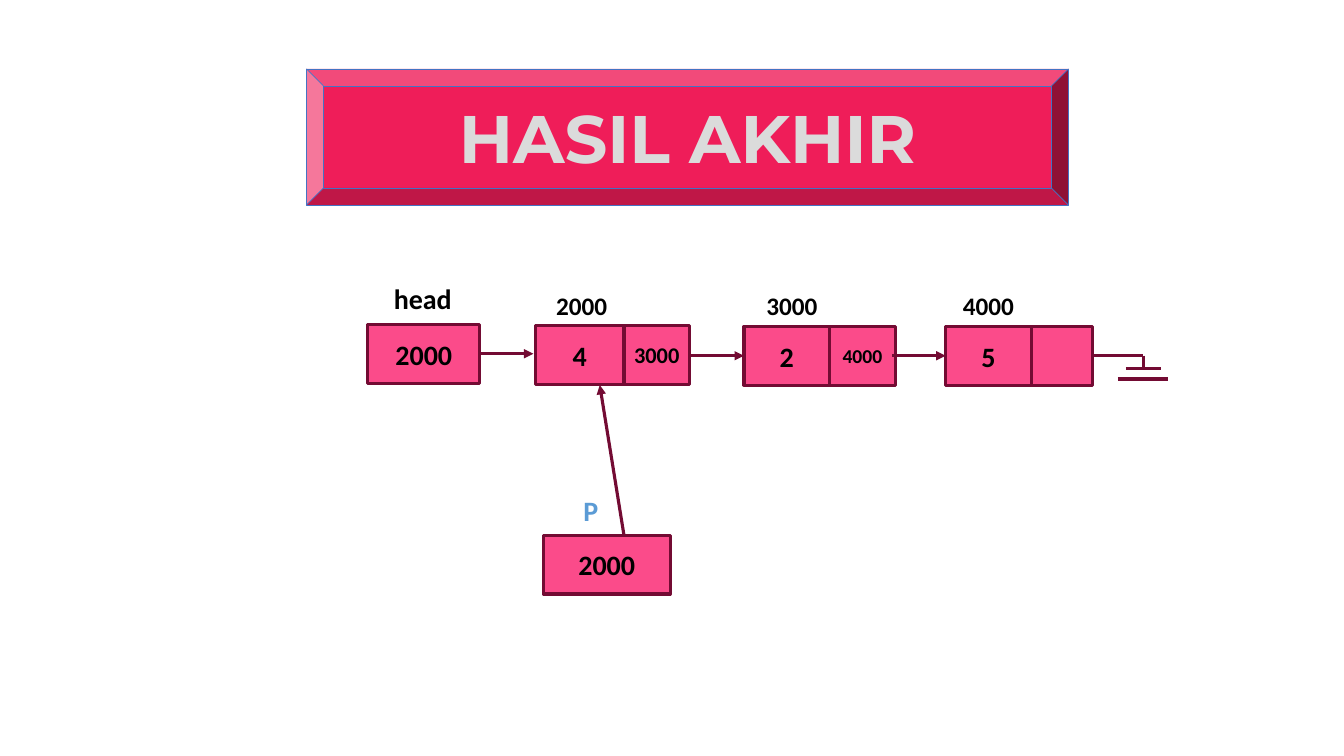
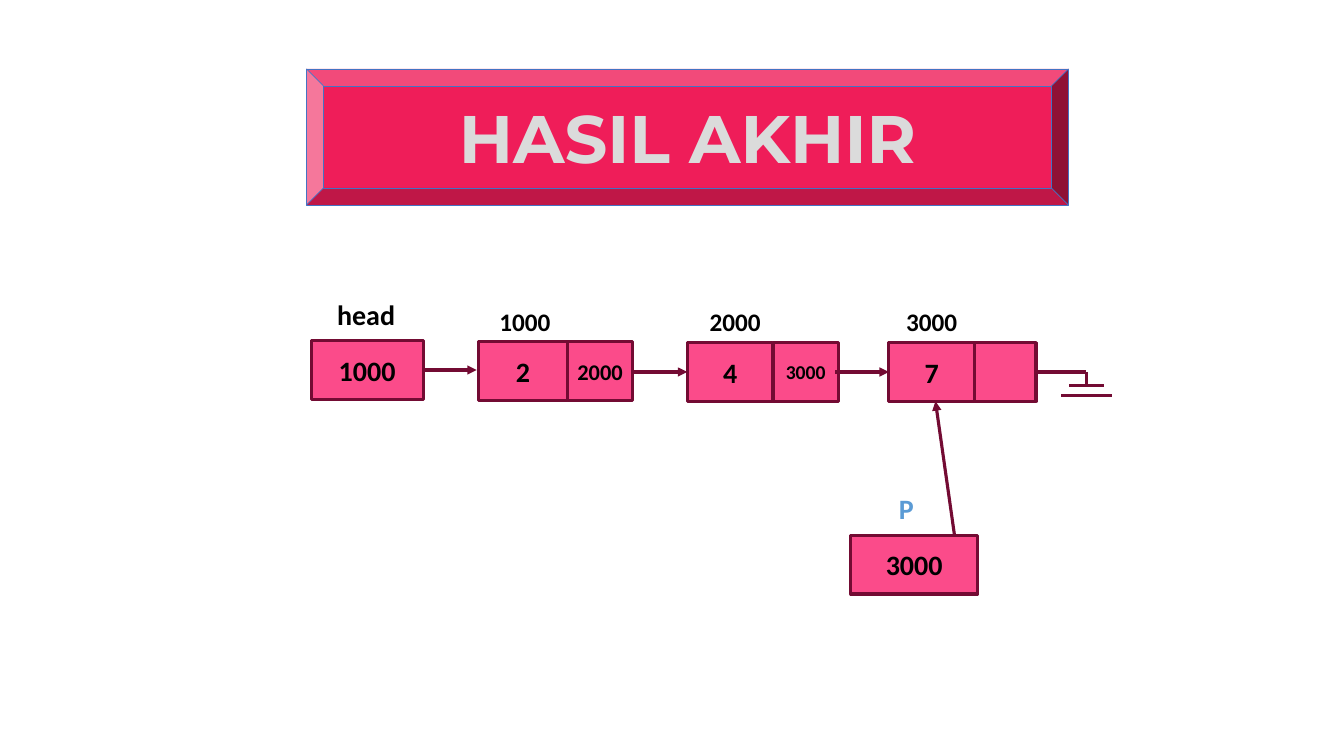
from lxml import etree
from pptx import Presentation
from pptx.dml.color import RGBColor
from pptx.enum.dml import MSO_PATTERN
from pptx.enum.shapes import MSO_CONNECTOR, MSO_SHAPE
from pptx.enum.text import MSO_ANCHOR, PP_ALIGN
from pptx.oxml import parse_xml
from pptx.oxml.ns import nsdecls, qn
from pptx.util import Pt

BEVEL, RECTANGLE = MSO_SHAPE.BEVEL, MSO_SHAPE.RECTANGLE
STRAIGHT = MSO_CONNECTOR.STRAIGHT
STRIPES = MSO_PATTERN.NARROW_HORIZONTAL
MIDDLE = MSO_ANCHOR.MIDDLE
LEFT, CENTER = PP_ALIGN.LEFT, PP_ALIGN.CENTER

COLORS = {
    name: RGBColor.from_string(value)
    for name, value in {
        "banner": "EF1D59", "banner_edge": "4472C4",
        "stripe": "A5A5A5", "title": "DBDBDB",
        "cell": "FB4B8A", "edge": "730B33",
        "text": "000000", "pointer": "5B9BD5",
    }.items()
}
TITLE_OUTLINE = "525252"
EDGE_WIDTH = 2.25
CELL_HEIGHT = 42
POINTER_TOP = 382.3

NODES = [
    {"left": 119.5, "top": 0.7, "value_width": 63.4, "next_width": 46.8,
     "next_size": 16, "label_left": 125.3, "label_width": 54.7},
    {"left": 268.6, "top": 1.4, "value_width": 61.2, "next_width": 46.8,
     "next_size": 14, "label_left": 272.2, "label_width": 61.2},
    {"left": 412.6, "top": 1.4, "value_width": 61.2, "next_width": 44,
     "next_size": 14, "label_left": 412.6, "label_width": 61.2},
]
ARROWS = [(79.2, 118.2, 20.9), (229.7, 268.6, 22.3), (374.4, 412.6, 22.3)]
GROUND = [
    ((518.4, 22.3), (553.7, 22.3)),
    ((553.7, 22.3), (553.7, 31.7)),
    ((541.4, 31.7), (566.2, 31.7)),
    ((535.7, 38.9), (571.7, 38.9)),
]
SLIDES = [
    {"left": 262.8, "top": 231.8, "addresses": ["2000", "3000", "4000"],
     "values": ["4", "2", "5"], "pointer": "2000", "pointer_left": 388.1,
     "p_left": 409.7, "p_top": 351.4,
     "pointer_start": 445.7, "pointer_end": (428.4, 275)},
    {"left": 222.3, "top": 243.4, "addresses": ["1000", "2000", "3000"],
     "values": ["2", "4", "7"], "pointer": "3000", "pointer_left": 607.7,
     "p_left": 635, "p_top": 350.6,
     "pointer_start": 681.8, "pointer_end": (668.2, 286.6)},
]


def add_cell(slide, left, top, width, text="", size=20):
    cell = slide.shapes.add_shape(RECTANGLE, Pt(left), Pt(top), Pt(width), Pt(CELL_HEIGHT))
    cell.shadow.inherit = False
    cell.fill.solid()
    cell.fill.fore_color.rgb = COLORS["cell"]
    cell.line.color.rgb = COLORS["edge"]
    cell.line.width = Pt(EDGE_WIDTH)
    frame = cell.text_frame
    frame.margin_left = frame.margin_right = 0
    frame.vertical_anchor = MIDDLE
    paragraph = frame.paragraphs[0]
    paragraph.text = text
    paragraph.alignment = CENTER
    paragraph.font.name = "Calibri"
    paragraph.font.size = Pt(size)
    paragraph.font.bold = True
    paragraph.font.color.rgb = COLORS["text"]


def add_line(slide, start, end, arrow=False):
    line = slide.shapes.add_connector(STRAIGHT, *map(Pt, start + end))
    line.line.color.rgb = COLORS["edge"]
    line.line.width = Pt(EDGE_WIDTH)
    if arrow:
        etree.SubElement(line.line._get_or_add_ln(), qn("a:tailEnd"), type="triangle")
    etree.SubElement(line._element.spPr, qn("a:effectLst"))


deck = Presentation()
deck.slide_width, deck.slide_height = Pt(960), Pt(540)

for content in SLIDES:
    slide = deck.slides.add_slide(deck.slide_layouts[6])
    left, top = content["left"], content["top"]

    banner = slide.shapes.add_shape(BEVEL, Pt(218.9), Pt(49.2), Pt(544.3), Pt(97.2))
    banner.shadow.inherit = False
    banner.fill.solid()
    banner.fill.fore_color.rgb = COLORS["banner"]
    banner.line.color.rgb = COLORS["banner_edge"]
    banner.line.width = Pt(0.5)
    banner.text_frame.vertical_anchor = MIDDLE
    heading = banner.text_frame.paragraphs[0]
    heading.alignment = CENTER
    title = heading.add_run()
    title.text = "HASIL AKHIR"
    title.font.name = "Montserrat"
    title.font.size = Pt(48)
    title.font.bold = True
    title.font.fill.patterned()
    title.font.fill.pattern = STRIPES
    title.font.fill.fore_color.rgb = COLORS["stripe"]
    title.font.fill.back_color.rgb = COLORS["title"]
    title._r.get_or_add_rPr().insert(0, parse_xml(
        f'<a:ln {nsdecls("a")} w="12700"><a:solidFill>'
        f'<a:srgbClr val="{TITLE_OUTLINE}"/></a:solidFill></a:ln>'))

    addresses = content["addresses"]
    add_cell(slide, left, top, 80, addresses[0])
    labels = [
        ("head", left + 5, top - 31.7, 68.4, 20, 0.9, CENTER, "text"),
        ("P", content["p_left"], content["p_top"], 46.8, 20, 0.9, LEFT, "pointer"),
    ]
    for node, address, value, following in zip(
            NODES, addresses, content["values"], addresses[1:] + [""]):
        node_left, node_top = left + node["left"], top + node["top"]
        add_cell(slide, node_left, node_top, node["value_width"], value)
        add_cell(slide, node_left + node["value_width"], node_top,
                 node["next_width"], following, node["next_size"])
        labels.append((address, left + node["label_left"], top - 28,
                       node["label_width"], 18, 1.0, CENTER, "text"))

    add_cell(slide, content["pointer_left"], POINTER_TOP, 90.7, content["pointer"])

    for text, x, y, width, size, spacing, alignment, color in labels:
        label = slide.shapes.add_textbox(Pt(x), Pt(y), Pt(width), Pt(30))
        label.text_frame.word_wrap = True
        paragraph = label.text_frame.paragraphs[0]
        paragraph.text = text
        paragraph.alignment = alignment
        paragraph.line_spacing = spacing
        paragraph.font.name = "Calibri"
        paragraph.font.size = Pt(size)
        paragraph.font.bold = True
        paragraph.font.color.rgb = COLORS[color]

    for start, end, y in ARROWS:
        add_line(slide, (left + start, top + y), (left + end, top + y), arrow=True)
    for (x1, y1), (x2, y2) in GROUND:
        add_line(slide, (left + x1, top + y1), (left + x2, top + y2))
    add_line(slide, (content["pointer_start"], POINTER_TOP),
             content["pointer_end"], arrow=True)

deck.save("out.pptx")
